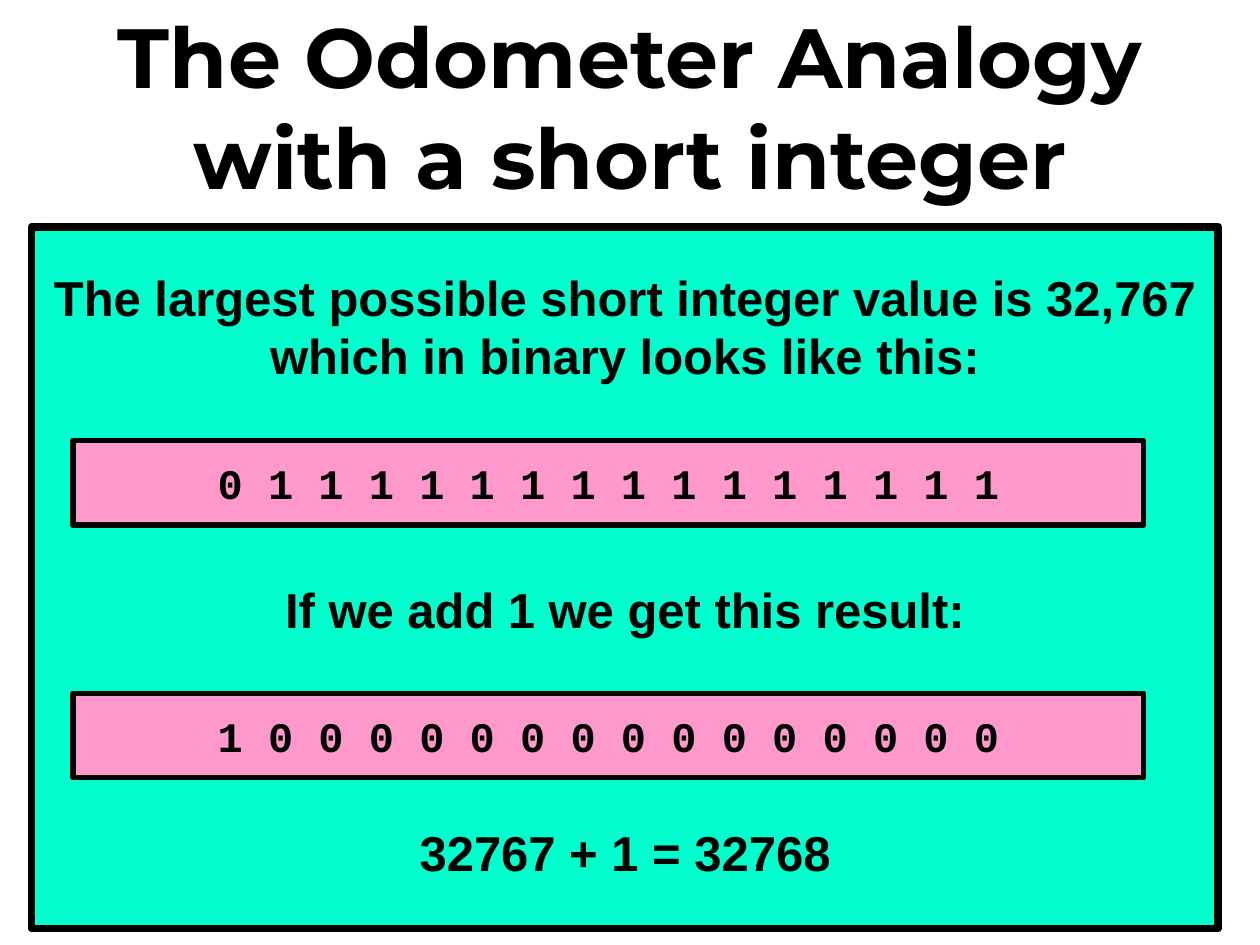
import pptx
import pptx.util
import pptx.dml.color
import pptx.enum.shapes
import pptx.enum.text

Inches, Pt = pptx.util.Inches, pptx.util.Pt
MIDDLE = pptx.enum.text.MSO_ANCHOR.MIDDLE
COLORS = {"ink": "000000", "panel": "00FFCC", "bits": "FF99CC"}
SLIDE_W, SLIDE_H = 10, 7.5


def color(name):
    return pptx.dml.color.RGBColor.from_string(COLORS[name])


def style(p, font, size):
    p.alignment = pptx.enum.text.PP_ALIGN.CENTER
    p.font.name = font
    p.font.size = Pt(size)
    p.font.bold = True
    p.font.color.rgb = color("ink")


def add_box(slide, box, fill, line_width):
    rect = pptx.enum.shapes.MSO_SHAPE.RECTANGLE
    sp = slide.shapes.add_shape(rect, *map(Inches, box))
    sp.shadow.inherit = False
    sp.fill.solid()
    sp.fill.fore_color.rgb = color(fill)
    sp.line.color.rgb = color("ink")
    sp.line.width = Pt(line_width)
    return sp


def add_title(slide, box, text):
    tf = slide.shapes.add_textbox(*map(Inches, box)).text_frame
    tf.word_wrap = True
    tf.vertical_anchor = MIDDLE
    p = tf.paragraphs[0]
    p.text = text
    style(p, "Montserrat", 48)


def add_bits(slide, box, bits):
    tf = add_box(slide, box, "bits", 3).text_frame
    tf.word_wrap = False
    tf.vertical_anchor = MIDDLE
    p = tf.paragraphs[0]
    p.text = " ".join(bits)
    style(p, "Courier New", 24)


def add_odometer(slide, box, lines, readings):
    x, y, w, h = box
    tf = add_box(slide, box, "panel", 4.5).text_frame
    tf.word_wrap = True
    tf.vertical_anchor = pptx.enum.text.MSO_ANCHOR.TOP
    tf.margin_top = Inches(0.06 * h)
    for i, (text, gap) in enumerate(lines):
        p = tf.add_paragraph() if i else tf.paragraphs[0]
        p.text = text
        p.line_spacing = Pt(33)
        p.space_before = Pt(gap)
        style(p, "Arial", 28)
    for i, bits in enumerate(readings):
        top = y + h * (0.305 + 0.36 * i)
        add_bits(slide, (x + 0.035 * w, top, 0.902 * w, 0.12 * h), bits)


def main():
    prs = pptx.Presentation()
    prs.slide_width, prs.slide_height = Inches(SLIDE_W), Inches(SLIDE_H)
    slide = prs.slides.add_slide(prs.slide_layouts[6])
    add_odometer(
        slide,
        (0.25, 1.8, 9.42, 5.57),
        [
            ("The largest possible short integer value is 32,767 "
             "which in binary looks like this:", 0),
            ("If we add 1 we get this result:", 112),
            ("32767 + 1 = 32768", 106),
        ],
        ["0" + "1" * 15, "1" + "0" * 15],
    )
    add_title(slide, (0, 0, SLIDE_W, 1.67),
              "The Odometer Analogy\vwith a short integer")
    prs.save("out.pptx")


if __name__ == "__main__":
    main()
